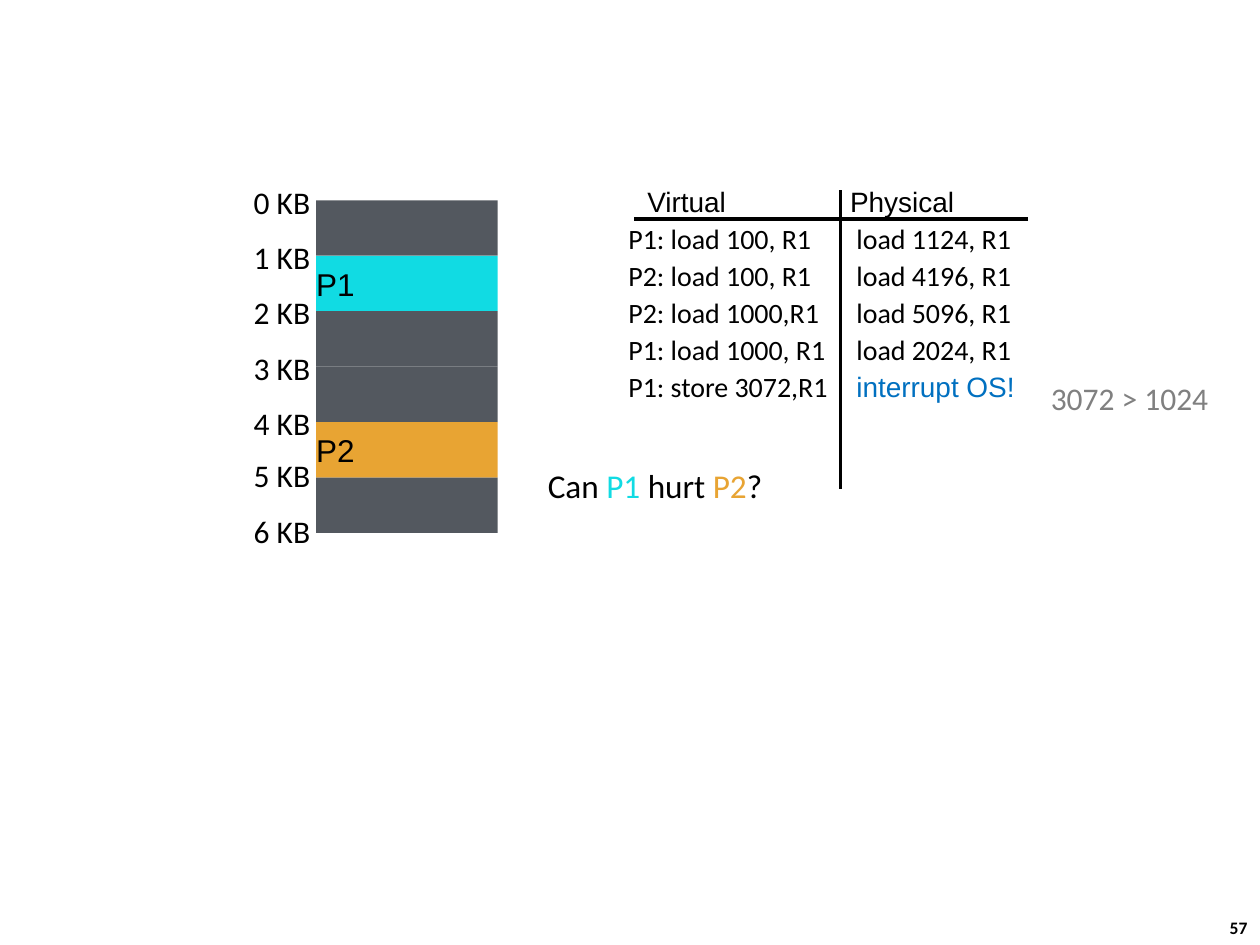
import pptx
import pptx.util
import pptx.dml.color
import pptx.enum.shapes
import pptx.enum.text
import pptx.oxml.ns
from lxml import etree

Pt = pptx.util.Pt
RGBColor = pptx.dml.color.RGBColor
ALIGN = pptx.enum.text.PP_ALIGN
ANCHOR = pptx.enum.text.MSO_ANCHOR

BLACK = RGBColor(0x00, 0x00, 0x00)
GRAY = RGBColor(0x80, 0x80, 0x80)
SLATE = RGBColor(0x53, 0x58, 0x5F)
CYAN = RGBColor(0x11, 0xDB, 0xE3)
ORANGE = RGBColor(0xE8, 0xA4, 0x33)
BLUE = RGBColor(0x00, 0x70, 0xC0)

# Content: one memory block per KB, then the address translations
BLOCKS = [("", SLATE), ("P1", CYAN), ("", SLATE), ("", SLATE), ("P2", ORANGE), ("", SLATE)]
# Address in KB and vertical nudge of its label
ADDRESSES = [(0, 0), (1, 0), (2, 0), (3, 0), (4, 0), (5, -2), (6, -2)]
HEADERS = ("Virtual", "Physical")
ACCESSES = [
    ("P1: load 100, R1", "load 1124, R1"),
    ("P2: load 100, R1", "load 4196, R1"),
    ("P2: load 1000,R1", "load 5096, R1"),
    ("P1: load 1000, R1", "load 2024, R1"),
    ("P1: store 3072,R1", "interrupt OS!"),
]
QUESTION = [("Can ", BLACK), ("P1 ", CYAN), ("hurt ", BLACK), ("P2", ORANGE), ("?", BLACK)]

# Layout in points
BLOCK_X, BLOCK_Y, BLOCK_W, BLOCK_H = 180.7, 114.5, 103.7, 31.68
LABEL_X, LABEL_Y, LABEL_W, LABEL_H = 142.6, 102.2, 36.7, 25.9
ROW_Y, ROW_STEP, ROW_H = 124.5, 21.1, 23.8
VIRTUAL_X, PHYSICAL_X = 357.1, 487.4

prs = pptx.Presentation()
prs.slide_width, prs.slide_height = Pt(720), Pt(540)
s = prs.slides.add_slide(prs.slide_layouts[6])


def write(sp, text, size=16, font="Calibri", color=BLACK, bold=False,
          align=ALIGN.LEFT, anchor=ANCHOR.MIDDLE, inset=2, wrap=True):
    """Fill a shape with a string or a list of (string, color) runs."""
    tf = sp.text_frame
    tf.word_wrap, tf.vertical_anchor = wrap, anchor
    tf.margin_left = tf.margin_right = tf.margin_top = tf.margin_bottom = Pt(inset)
    p = tf.paragraphs[0]
    p.alignment = align
    for part, part_color in [(text, color)] if isinstance(text, str) else text:
        r = p.add_run()
        r.text = part
        r.font.size, r.font.name, r.font.bold = Pt(size), font, bold
        r.font.color.rgb = part_color


def add_text(x, y, w, h, text, **fmt):
    write(s.shapes.add_textbox(Pt(x), Pt(y), Pt(w), Pt(h)), text, **fmt)


def add_line(x1, y1, x2, y2):
    line = s.shapes.add_connector(pptx.enum.shapes.MSO_CONNECTOR.STRAIGHT,
                                  Pt(x1), Pt(y1), Pt(x2), Pt(y2))
    line.line.color.rgb, line.line.width = BLACK, Pt(2)
    etree.SubElement(line._element.spPr, pptx.oxml.ns.qn("a:effectLst"))


# Memory blocks
for i, (name, color) in enumerate(BLOCKS):
    sp = s.shapes.add_shape(pptx.enum.shapes.MSO_SHAPE.RECTANGLE, Pt(BLOCK_X),
                            Pt(BLOCK_Y + i * BLOCK_H), Pt(BLOCK_W), Pt(BLOCK_H))
    sp.shadow.inherit = False
    sp.fill.solid()
    sp.fill.fore_color.rgb = color
    sp.line.fill.background()
    if name:
        write(sp, name, size=18, font="Arial", inset=0)

# Address labels
for kb, nudge in ADDRESSES:
    add_text(LABEL_X, LABEL_Y + kb * BLOCK_H + nudge, LABEL_W, LABEL_H, f"{kb} KB",
             size=18, align=ALIGN.RIGHT, wrap=False)

# Translation columns and their rules
add_line(480.2, 279.4, 480.2, 108.7)
add_line(587.5, 125.3, 362.2, 125.3)
for x, header in zip((367.9, 483.8), HEADERS):
    add_text(x, ROW_Y - ROW_STEP, 112.3, ROW_H, header, font="Arial")
for i, (virtual, physical) in enumerate(ACCESSES):
    y = ROW_Y + i * ROW_STEP
    fault = {"font": "Arial", "color": BLUE} if physical.startswith("interrupt") else {}
    add_text(VIRTUAL_X, y, 122, ROW_H, virtual)
    add_text(PHYSICAL_X, y, 112.3, ROW_H, physical, **fault)

# Bounds check, question and page number
add_text(600.5, 216.7, 91.4, 21.6, "3072 > 1024", size=18, color=GRAY,
         inset=0, anchor=ANCHOR.TOP, wrap=False)
add_text(311, 263.5, 128.2, 27.4, QUESTION, size=19, wrap=False)
add_text(702.7, 524.2, 12.2, 12.2, "57", size=10, bold=True,
         inset=0, anchor=ANCHOR.TOP, wrap=False)

prs.save("out.pptx")
